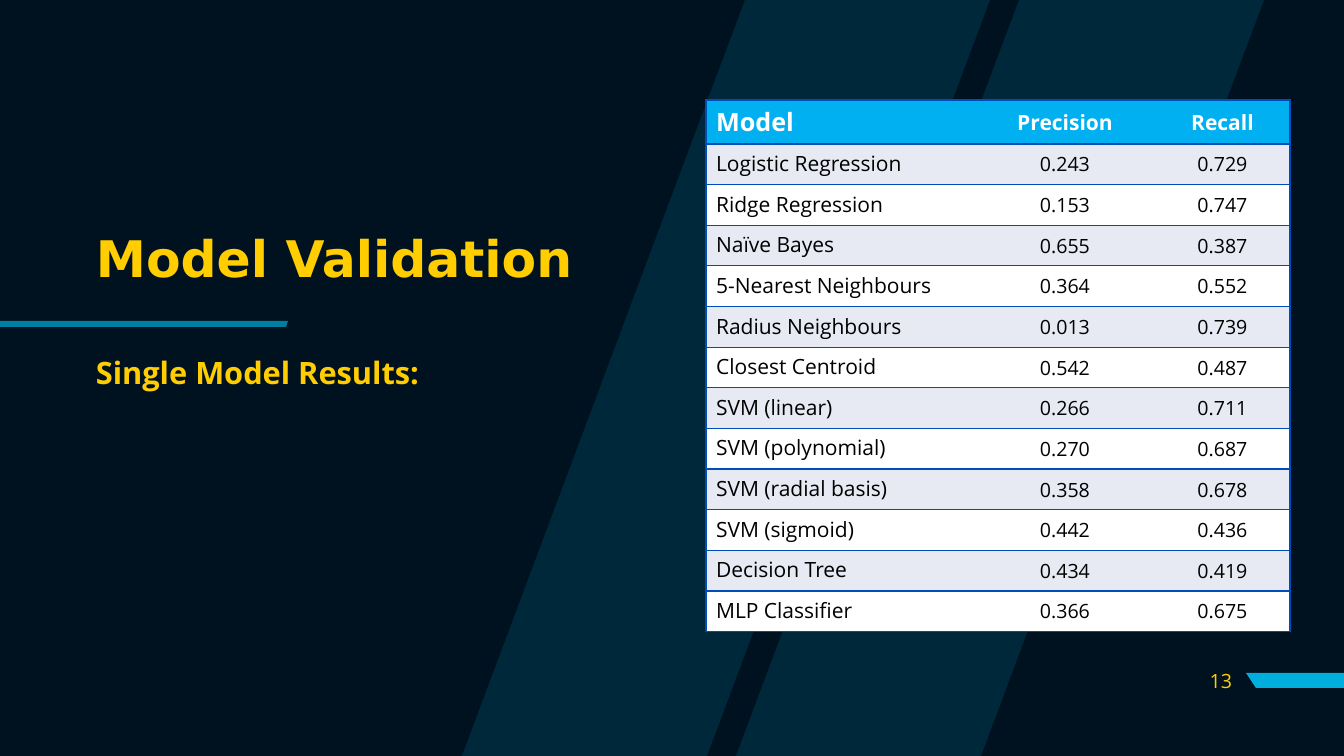
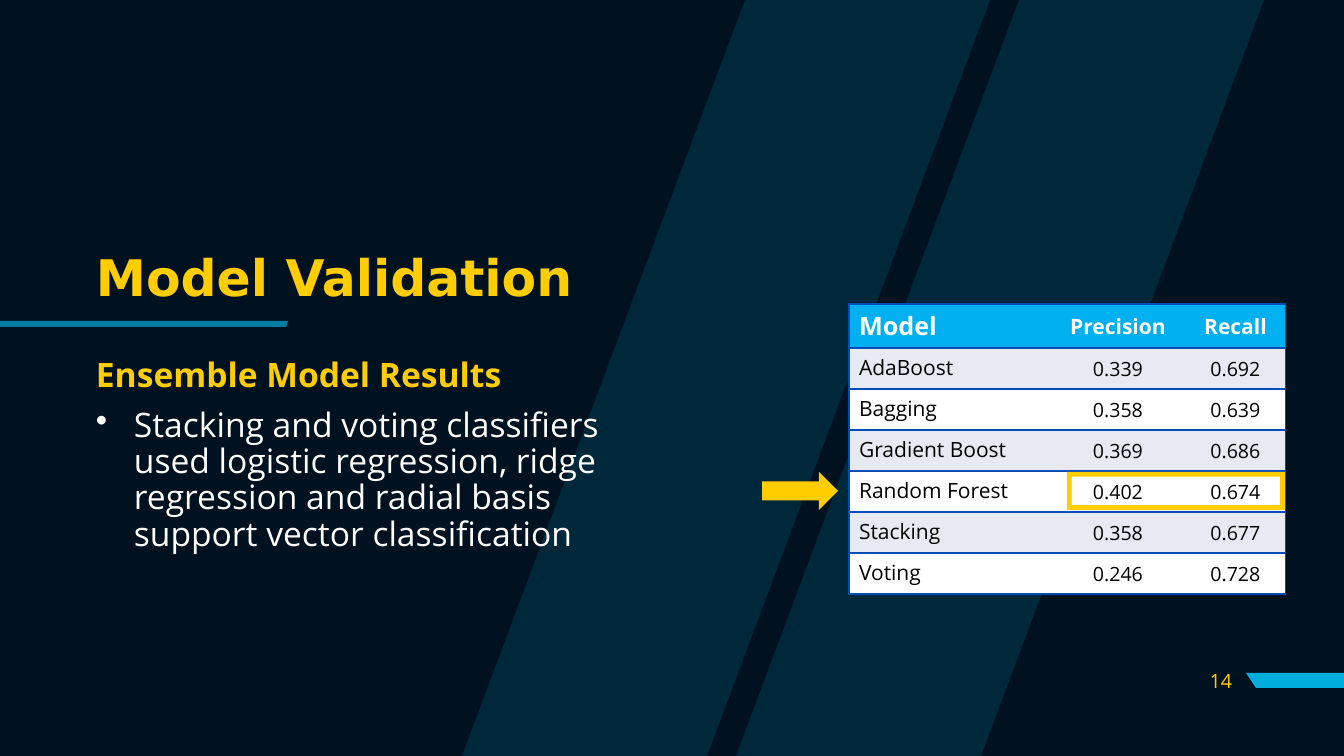
from lxml import etree
from pptx import Presentation
from pptx import util as u
from pptx.dml.color import RGBColor
from pptx.enum import shapes, text
from pptx.oxml.ns import qn

SLIDE_WIDTH, SLIDE_HEIGHT = 1344, 756
SCALE = u.Inches(13.333) / SLIDE_WIDTH

NAVY = RGBColor(0x00, 0x11, 0x1F)
CYAN = RGBColor(0x00, 0xAE, 0xDE)
YELLOW = RGBColor(0xFF, 0xCD, 0x00)
WHITE = RGBColor(0xFF, 0xFF, 0xFF)
BLACK = RGBColor(0x00, 0x00, 0x00)
HEADER_BLUE = RGBColor(0x00, 0xB0, 0xF0)
BAND_GREY = RGBColor(0xE7, 0xE9, 0xF3)
BORDER_BLUE = RGBColor(0x00, 0x4C, 0xB9)

TITLE_FONT, BODY_FONT = "DejaVu Sans", "Open Sans"
NO_TABLE_STYLE = "{2D5ABB26-0587-4C30-8999-92F81FD0307C}"
HEADER_HEIGHT = 44
HEADINGS = ("Model", "Precision", "Recall")

DECORATIONS = [
    ([[(1019, 0), (736, 756), (981, 756), (1264, 0)],
      [(462, 756), (707, 756), (990, 0), (745, 0)]], 15),
    ([[(1344, 673), (1344, 688), (1256, 688), (1246, 673)]], 100),
    ([[(0, 321), (0, 327), (286, 327), (288, 321)]], 70),
]

SLIDES = [
    {
        "title_box": (86, 216, 542, 91),
        "body_box": (86, 353, 436, 238),
        "body": [("Single Model Results:", {"size": 22, "bold": True})],
        "table_at": (706, 100),
        "columns": (269, 180, 135),
        "rows_height": 488,
        "results": [
            ("Logistic Regression", "0.243", "0.729"),
            ("Ridge Regression", "0.153", "0.747"),
            ("Naïve Bayes", "0.655", "0.387"),
            ("5-Nearest Neighbours", "0.364", "0.552"),
            ("Radius Neighbours", "0.013", "0.739"),
            ("Closest Centroid", "0.542", "0.487"),
            ("SVM (linear)", "0.266", "0.711"),
            ("SVM (polynomial)", "0.270", "0.687"),
            ("SVM (radial basis)", "0.358", "0.678"),
            ("SVM (sigmoid)", "0.442", "0.436"),
            ("Decision Tree", "0.434", "0.419"),
            ("MLP Classifier", "0.366", "0.675"),
        ],
        "highlights": [],
    },
    {
        "title_box": (86, 227, 507, 107),
        "body_box": (86, 353, 587, 238),
        "body": [
            ("Ensemble Model Results", {"size": 24, "bold": True}),
            ("Stacking and voting classifiers used logistic regression, ridge "
             "regression and radial basis support vector classification",
             {"size": 24, "color": WHITE, "bullet": True}),
        ],
        "table_at": (849, 304),
        "columns": (202, 134, 101),
        "rows_height": 246,
        "results": [
            ("AdaBoost", "0.339", "0.692"),
            ("Bagging", "0.358", "0.639"),
            ("Gradient Boost", "0.369", "0.686"),
            ("Random Forest", "0.402", "0.674"),
            ("Stacking", "0.358", "0.677"),
            ("Voting", "0.246", "0.728"),
        ],
        "highlights": [
            (shapes.MSO_SHAPE.RIGHT_ARROW, (762, 472, 76, 38)),
            (shapes.MSO_SHAPE.FRAME, (1067, 472, 218, 38)),
        ],
    },
]


def px(*lengths):
    return [u.Emu(round(length * SCALE)) for length in lengths]


def write(frame, words, *, size, color=YELLOW, font=BODY_FONT, bold=False,
          align=text.PP_ALIGN.LEFT, anchor=None, line_spacing=None,
          space_before=0, bullet=False):
    frame.word_wrap = True
    if anchor is not None:
        frame.vertical_anchor = anchor
    paragraph = frame.paragraphs[0]
    if paragraph.runs:
        paragraph = frame.add_paragraph()
    paragraph.alignment = align
    paragraph.line_spacing = line_spacing
    paragraph.space_before = u.Pt(space_before)
    if bullet:
        indent = px(38)[0]
        properties = paragraph._p.get_or_add_pPr()
        properties.set("marL", str(indent))
        properties.set("indent", str(-indent))
        etree.SubElement(properties, qn("a:buChar"), char="•")
    run = paragraph.add_run()
    run.text = words
    run.font.name = font
    run.font.size = u.Pt(size)
    run.font.bold = bold
    run.font.color.rgb = color


presentation = Presentation()
presentation.slide_width, presentation.slide_height = px(SLIDE_WIDTH, SLIDE_HEIGHT)

for number, content in enumerate(SLIDES, start=13):
    slide = presentation.slides.add_slide(presentation.slide_layouts[6])
    slide.background.fill.solid()
    slide.background.fill.fore_color.rgb = NAVY

    for outlines, opacity in DECORATIONS:
        builder = slide.shapes.build_freeform(*outlines[0][0], scale=SCALE)
        builder.add_line_segments(outlines[0][1:])
        for outline in outlines[1:]:
            builder.move_to(*outline[0])
            builder.add_line_segments(outline[1:])
        shape = builder.convert_to_shape()
        shape.shadow.inherit = False
        shape.line.fill.background()
        shape.fill.solid()
        shape.fill.fore_color.rgb = CYAN
        if opacity < 100:
            color = shape._element.spPr.find(qn("a:solidFill"))[0]
            etree.SubElement(color, qn("a:alpha"), val=str(opacity * 1000))

    title = slide.shapes.add_textbox(*px(*content["title_box"]))
    write(title.text_frame, "Model Validation", size=36, font=TITLE_FONT,
          bold=True, anchor=text.MSO_ANCHOR.MIDDLE, line_spacing=0.9)

    body = slide.shapes.add_textbox(*px(*content["body_box"]))
    for words, style in content["body"]:
        write(body.text_frame, words, line_spacing=0.9, space_before=10, **style)

    rows = [HEADINGS] + content["results"]
    row_height = content["rows_height"] / len(content["results"])
    size = px(sum(content["columns"]), HEADER_HEIGHT + content["rows_height"])
    table = slide.shapes.add_table(
        len(rows), len(HEADINGS), *px(*content["table_at"]), *size).table
    table.first_row = table.horz_banding = False
    table._tbl.tblPr.find(qn("a:tableStyleId")).text = NO_TABLE_STYLE
    for column, width in zip(table.columns, px(*content["columns"])):
        column.width = width

    for row_index, row in enumerate(rows):
        header = row_index == 0
        table.rows[row_index].height = px(HEADER_HEIGHT if header else row_height)[0]
        fill = HEADER_BLUE if header else (WHITE, BAND_GREY)[row_index % 2]
        for column_index, words in enumerate(row):
            first = column_index == 0
            cell = table.cell(row_index, column_index)
            sides = ["lnT", "lnB"]
            if first:
                sides.insert(0, "lnL")
            elif column_index == len(row) - 1:
                sides.insert(0, "lnR")
            for side in sides:
                border = etree.SubElement(
                    cell._tc.get_or_add_tcPr(), qn(f"a:{side}"), w=str(u.Pt(1)))
                solid = etree.SubElement(border, qn("a:solidFill"))
                etree.SubElement(solid, qn("a:srgbClr"), val=str(BORDER_BLUE))
            cell.fill.solid()
            cell.fill.fore_color.rgb = fill
            cell.vertical_anchor = text.MSO_ANCHOR.TOP if first else text.MSO_ANCHOR.MIDDLE
            if header:
                font_size = 18 if first else 15
            else:
                font_size = 15 if first else 14
            write(cell.text_frame, words, size=font_size, bold=header,
                  color=WHITE if header else BLACK,
                  align=text.PP_ALIGN.LEFT if first else text.PP_ALIGN.CENTER)

    slide_number = slide.shapes.add_textbox(*px(1182, 661, 60, 40))
    write(slide_number.text_frame, str(number), size=14,
          align=text.PP_ALIGN.RIGHT, anchor=text.MSO_ANCHOR.MIDDLE)

    for kind, box in content["highlights"]:
        shape = slide.shapes.add_shape(kind, *px(*box))
        shape.shadow.inherit = False
        shape.line.fill.background()
        shape.fill.solid()
        shape.fill.fore_color.rgb = YELLOW

presentation.save("out.pptx")
